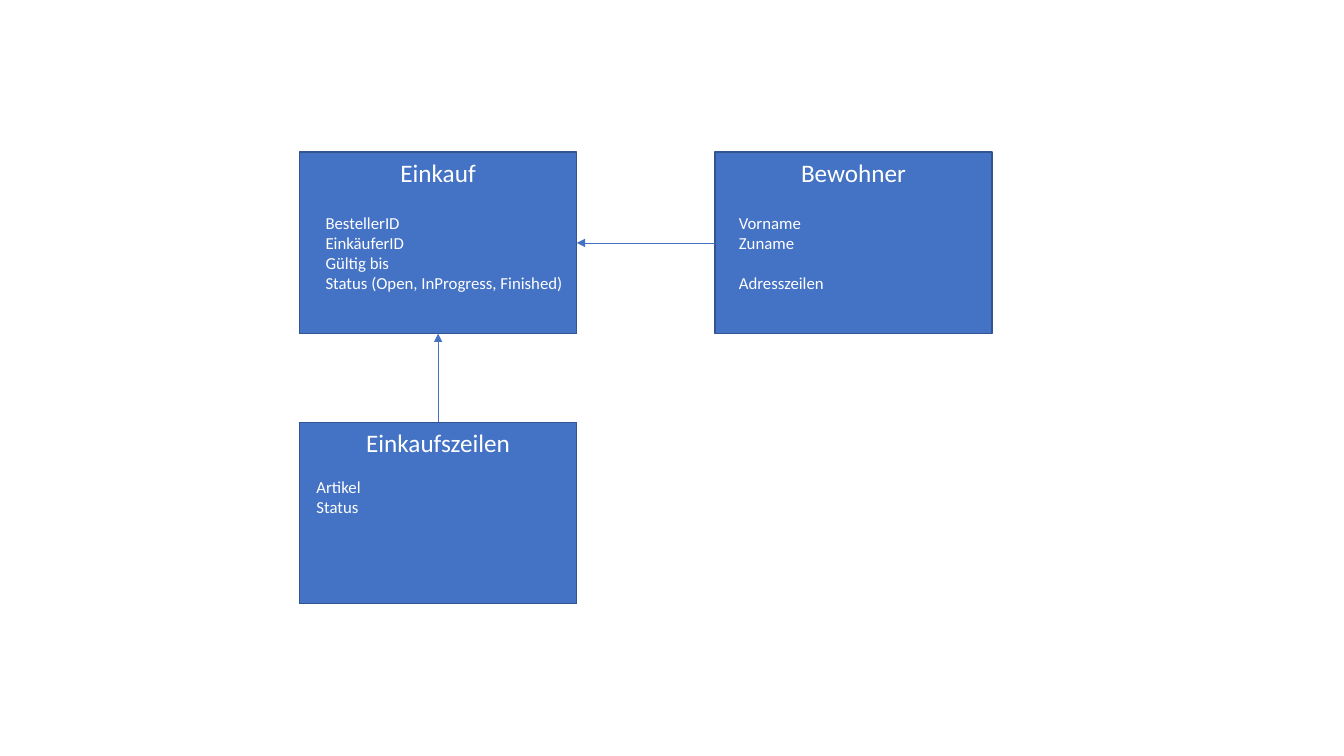
from dataclasses import dataclass

from pptx import Presentation
from pptx.dml.color import RGBColor
from pptx.enum.shapes import MSO_CONNECTOR, MSO_SHAPE
from pptx.enum.text import MSO_ANCHOR, MSO_AUTO_SIZE, PP_ALIGN
from pptx.oxml.ns import qn
from pptx.util import Inches, Pt
from lxml.etree import SubElement


@dataclass(frozen=True)
class Theme:
    """Colours, font and type sizes of the diagram."""
    font: str = "Calibri"
    entity_fill: RGBColor = RGBColor(0x44, 0x72, 0xC4)
    entity_line: RGBColor = RGBColor(0x32, 0x54, 0x91)
    text: RGBColor = RGBColor(0xFF, 0xFF, 0xFF)
    name_size: float = 18
    field_size: float = 12
    field_gap: float = 14.2


THEME = Theme()
ENTITY_WIDTH, ENTITY_HEIGHT = 2.75, 1.8
LEFT_COLUMN, RIGHT_COLUMN = 2.97, 7.09
TOP_ROW, BOTTOM_ROW = 1.51, 4.19
TOP_SITE, LEFT_SITE, BOTTOM_SITE, RIGHT_SITE = range(4)


def write_text(paragraph, text, *, size, align=PP_ALIGN.LEFT, space_before=0):
    """Write formatted text into a paragraph."""
    paragraph.alignment = align
    paragraph.space_before = Pt(space_before)
    run = paragraph.add_run()
    run.text = text
    run.font.name = THEME.font
    run.font.size = Pt(size)
    run.font.color.rgb = THEME.text


def add_entity(slide, name, left, top):
    """Add an entity box with its name at the top and return it."""
    shape = slide.shapes.add_shape(
        MSO_SHAPE.RECTANGLE, Inches(left), Inches(top),
        Inches(ENTITY_WIDTH), Inches(ENTITY_HEIGHT))
    shape.shadow.inherit = False
    shape.fill.solid()
    shape.fill.fore_color.rgb = THEME.entity_fill
    shape.line.color.rgb = THEME.entity_line
    shape.line.width = Pt(1)
    shape.text_frame.vertical_anchor = MSO_ANCHOR.TOP
    write_text(shape.text_frame.paragraphs[0], name,
               size=THEME.name_size, align=PP_ALIGN.CENTER)
    return shape


def add_fields(slide, fields, left, top, width, height, separated=()):
    """List an entity's fields, with a gap before the separated ones."""
    box = slide.shapes.add_textbox(
        Inches(left), Inches(top), Inches(width), Inches(height))
    frame = box.text_frame
    frame.word_wrap = False
    frame.auto_size = MSO_AUTO_SIZE.SHAPE_TO_FIT_TEXT
    for index, field in enumerate(fields):
        paragraph = frame.add_paragraph() if index else frame.paragraphs[0]
        gap = THEME.field_gap if field in separated else 0
        write_text(paragraph, field, size=THEME.field_size, space_before=gap)


def add_arrow(slide, source, source_site, target, target_site):
    """Connect two entities with an arrow that points at the target."""
    arrow = slide.shapes.add_connector(MSO_CONNECTOR.STRAIGHT, 0, 0, 0, 0)
    arrow.begin_connect(source, source_site)
    arrow.end_connect(target, target_site)
    arrow.line.color.rgb = THEME.entity_fill
    arrow.line.width = Pt(0.5)
    properties = arrow._element.spPr
    SubElement(properties.find(qn("a:ln")), qn("a:tailEnd"), type="triangle")
    SubElement(properties, qn("a:effectLst"))


def main():
    """Build the entity diagram and save it."""
    presentation = Presentation()
    presentation.slide_width = Inches(13.33)
    presentation.slide_height = Inches(7.5)
    slide = presentation.slides.add_slide(presentation.slide_layouts[6])

    purchase = add_entity(slide, "Einkauf", LEFT_COLUMN, TOP_ROW)
    purchase_lines = add_entity(slide, "Einkaufszeilen", LEFT_COLUMN, BOTTOM_ROW)
    resident = add_entity(slide, "Bewohner", RIGHT_COLUMN, TOP_ROW)

    add_arrow(slide, purchase_lines, TOP_SITE, purchase, BOTTOM_SITE)
    add_arrow(slide, resident, LEFT_SITE, purchase, RIGHT_SITE)

    add_fields(slide, ["BestellerID", "EinkäuferID", "Gültig bis",
                       "Status (Open, InProgress, Finished)"],
               3.13, 2.06, 2.58, 0.91)
    add_fields(slide, ["Artikel", "Status"], 3.04, 4.68, 0.65, 0.5)
    add_fields(slide, ["Vorname", "Zuname", "Adresszeilen"],
               7.23, 2.06, 1.06, 0.91, separated=["Adresszeilen"])

    presentation.save("out.pptx")


main()
